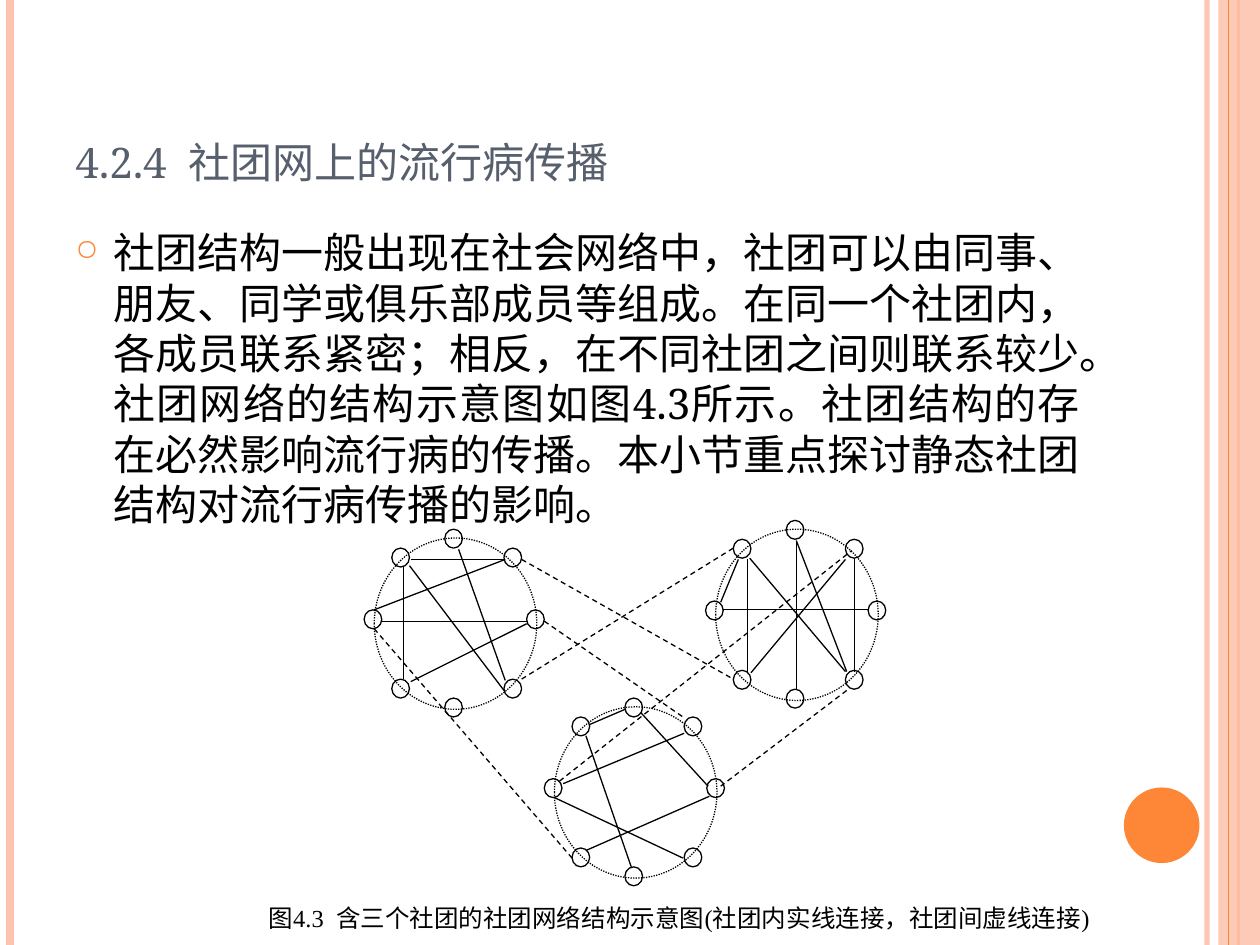
from lxml.etree import SubElement
from pptx import Presentation
from pptx.dml.color import RGBColor
from pptx.enum.dml import MSO_LINE
from pptx.enum.shapes import MSO_CONNECTOR, MSO_SHAPE
from pptx.enum.text import MSO_ANCHOR, PP_ALIGN
from pptx.oxml.ns import qn
from pptx.util import Inches, Pt

COLS, ROWS = 1000, 750
CELL = Inches(10) // COLS
PINK = RGBColor(0xFE, 0xC3, 0xAE)
ORANGE = RGBColor(0xFE, 0x86, 0x37)
SLATE = RGBColor(0x57, 0x5F, 0x6D)
BLACK = RGBColor(0, 0, 0)

TITLE = "4.2.4  社团网上的流行病传播"
BODY = ("社团结构一般出现在社会网络中，社团可以由同事、朋友、同学或俱乐部成员等组成。"
        "在同一个社团内，各成员联系紧密；相反，在不同社团之间则联系较少。"
        "社团网络的结构示意图如图4.3所示。社团结构的存在必然影响流行病的传播。"
        "本小节重点探讨静态社团结构对流行病传播的影响。")
NOTE = "图4.3  含三个社团的社团网络结构示意图(社团内实线连接，社团间虚线连接)"

RING = (129, 136)
NODE = (14, 15)
NODES = [(14, 8), (14, 112), (121, 57), (56, -7), (56, 127),
         (-8, 57), (103, 112), (103, 8)]
GROUPS = [
    ((8, 13), [(28, 22, 103, 121), (6, 66, 121, 66), (103, 17, 29, 17),
               (67, 9, 104, 113), (29, 114, 121, 68), (23, 112, 23, 23),
               (0, 57, 104, 17)]),
    ((279, 6), [(27, 23, 103, 113), (28, 114, 103, 24), (64, 9, 104, 113),
                (6, 64, 121, 64), (25, 113, 25, 24), (64, 9, 64, 128),
                (110, 24, 110, 113), (18, 24, 4, 58)]),
    ((151, 147), [(7, 61, 103, 21), (25, 114, 123, 71), (56, 2, 28, 14),
                  (69, 5, 122, 63), (0, 72, 102, 120), (61, 127, 25, 23)]),
]
LINKS = [(125, 30, 293, 125), (155, 206, 387, 23), (8, 85, 165, 267),
         (143, 79, 253, 155), (125, 125, 293, 21), (383, 134, 283, 210)]


def style(item, opts):
    """Set each named attribute of an item."""
    for name, value in opts.items():
        setattr(item, name, value)


def fade(fill, share):
    """Give a solid fill an opacity in percent."""
    tone = fill._xPr.find(qn("a:solidFill"))[0]
    SubElement(tone, qn("a:alpha"), val=str(share * 1000))


def line(slide, ends, color=BLACK, width=0.75, dash=None):
    """Draw a straight line between two grid points."""
    wire = slide.shapes.add_connector(
        MSO_CONNECTOR.STRAIGHT, *(CELL * n for n in ends))
    wire.line.color.rgb = color
    style(wire.line, {"width": Pt(width), "dash_style": dash})
    SubElement(wire._element.spPr, qn("a:effectLst"))
    return wire


def shape(slide, kind, box, fill=None, dash=None):
    """Draw a filled shape without outline, or an empty black outline."""
    item = slide.shapes.add_shape(kind, *(CELL * n for n in box))
    item.shadow.inherit = False
    if fill is None:
        item.fill.background()
        item.line.color.rgb = BLACK
        style(item.line, {"width": Pt(0.75), "dash_style": dash})
    else:
        item.fill.solid()
        item.fill.fore_color.rgb = fill
        item.line.fill.background()
    return item


def text(slide, box, words, face, size, color, anchor, align):
    """Write one wrapped paragraph in a box and return it."""
    frame = slide.shapes.add_textbox(*(CELL * n for n in box)).text_frame
    style(frame, {"word_wrap": True, "vertical_anchor": anchor})
    para = frame.paragraphs[0]
    para.alignment = align
    run = para.add_run()
    run.text = words
    style(run.font, {"name": face, "size": Pt(size)})
    run.font.color.rgb = color
    return para


def frame(slide, box):
    """Draw the side stripes and the disc of the theme."""
    x, y, w, h = box
    edge = x + w

    def rule(pos, color, width):
        """Draw a full-height stripe."""
        return line(slide, (pos, y, pos, y + h), color, width)

    fade(rule(edge - 42, PINK, 3).line.fill, 93)
    rule(x + 8, PINK, 4.5)
    rule(edge - 17, ORANGE, 1.5)
    band = shape(slide, MSO_SHAPE.RECTANGLE, (edge - 33, y, 33, h), PINK)
    fade(band.fill, 87)
    rule(edge - 25, ORANGE, 0.75)
    shape(slide, MSO_SHAPE.OVAL, (edge - 108, y + h - 125, 60, 60), ORANGE)


def head(slide, box):
    """Write the title in small capitals."""
    para = text(slide, box, TITLE, "Noto Serif", 30, SLATE,
                MSO_ANCHOR.BOTTOM, PP_ALIGN.LEFT)
    para.runs[0].font._element.set("cap", "small")


def body(slide, box):
    """Write the bulleted paragraph."""
    para = text(slide, box, BODY, "Noto Serif", 24, BLACK,
                MSO_ANCHOR.TOP, PP_ALIGN.JUSTIFY)
    para.space_before = Pt(6)
    props = para._p.get_or_add_pPr()
    props.set("marL", str(CELL * 30))
    props.set("indent", str(CELL * -30))
    tint = SubElement(props, qn("a:buClr"))
    SubElement(tint, qn("a:srgbClr"), val=str(ORANGE))
    SubElement(props, qn("a:buSzPct"), val="70000")
    SubElement(props, qn("a:buChar"), char="○")


def group(slide, box, edges):
    """Draw one community: dotted ring, nodes and inner links."""
    x, y, w, h = box
    shape(slide, MSO_SHAPE.OVAL, box, dash=MSO_LINE.ROUND_DOT)
    for dx, dy in NODES:
        shape(slide, MSO_SHAPE.OVAL, (x + dx, y + dy, *NODE))
    for a, b, c, d in edges:
        line(slide, (x + a, y + b, x + c, y + d))


def net(slide, box):
    """Draw the communities and the dashed links between them."""
    x, y = box[:2]
    for (dx, dy), edges in GROUPS:
        group(slide, (x + dx, y + dy, *RING), edges)
    for a, b, c, d in LINKS:
        line(slide, (x + a, y + b, x + c, y + d), dash=MSO_LINE.DASH)


def main():
    """Build the slide and save it."""
    deck = Presentation()
    style(deck, {"slide_width": CELL * COLS, "slide_height": CELL * ROWS})
    slide = deck.slides.add_slide(deck.slide_layouts[6])
    frame(slide, (0, 0, COLS, ROWS))
    head(slide, (50, 30, 817, 125))
    body(slide, (50, 175, 817, 533))
    net(slide, (289, 414, 414, 289))
    text(slide, (39, 711, 1000, 34), NOTE, "Times New Roman", 14, BLACK,
         MSO_ANCHOR.MIDDLE, PP_ALIGN.CENTER)
    deck.save("out.pptx")


main()
